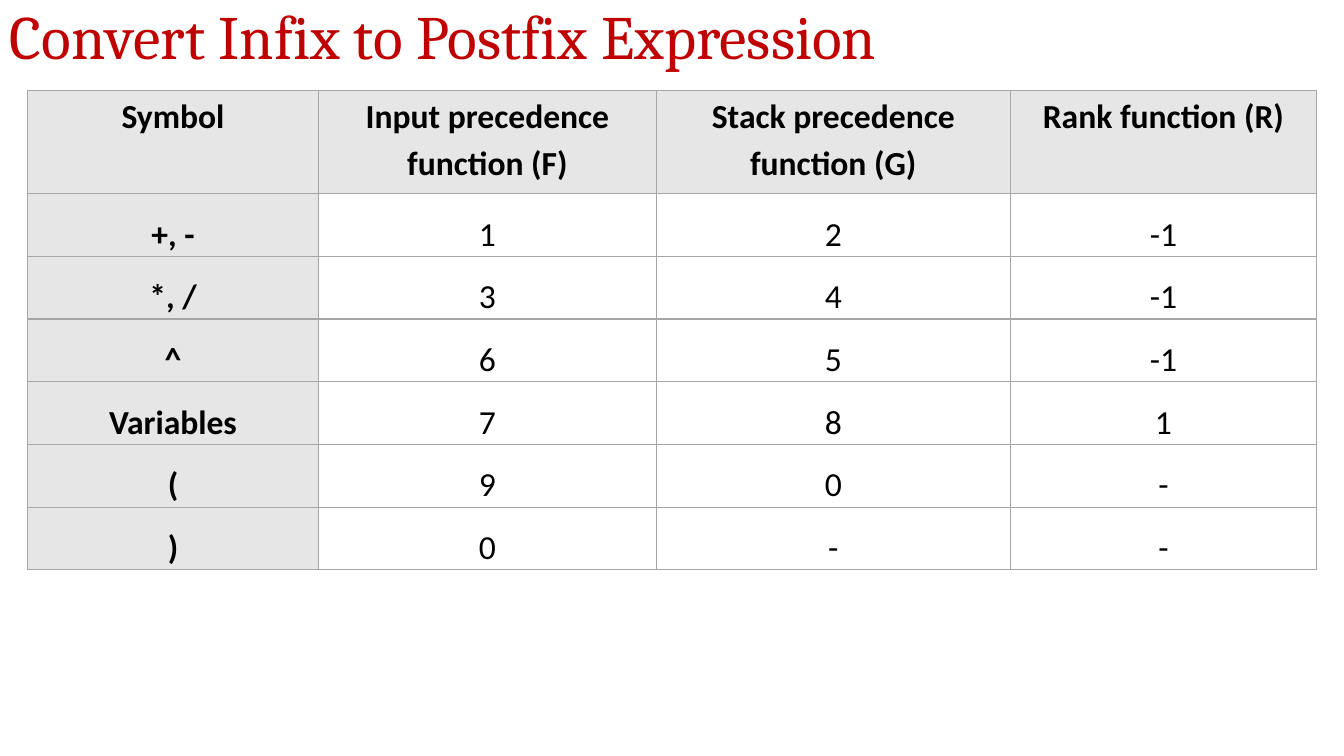
from lxml.etree import SubElement
from pptx import Presentation
from pptx.dml.color import RGBColor
from pptx.enum.text import MSO_ANCHOR, PP_ALIGN
from pptx.oxml.ns import qn
from pptx.util import Cm, Pt

COLORS = {
    "title": "C00000",
    "text": "000000",
    "border": "A6A6A6",
    "heading": "E6E6E6",
    "body": "FFFFFF",
}
COLUMN_WIDTHS = [7.34, 8.51, 8.92, 7.72]
HEADER_HEIGHT = 2.59
ROW_HEIGHT = 1.58
PRECEDENCE = [
    ["Symbol", "Input precedence\vfunction (F)", "Stack precedence\vfunction (G)", "Rank function (R)"],
    ["+, -", "1", "2", "-1"],
    ["*, /", "3", "4", "-1"],
    ["^", "6", "5", "-1"],
    ["Variables", "7", "8", "1"],
    ["(", "9", "0", "-"],
    [")", "0", "-", "-"],
]


class SlideBuilder:
    """Draws styled elements on the current slide."""

    def __init__(self, page):
        self.page = page
        self.title_font = "Cambria"
        self.table_font = "Calibri"

    def style(self, paragraph, name, size, color, bold=False):
        paragraph.font.name = name
        paragraph.font.size = Pt(size)
        paragraph.font.bold = bold
        paragraph.font.color.rgb = RGBColor.from_string(COLORS[color])

    def title(self, text, left, top, width, height):
        box = self.page.shapes.add_textbox(Cm(left), Cm(top), Cm(width), Cm(height))
        frame = box.text_frame
        frame.word_wrap = True
        frame.vertical_anchor = MSO_ANCHOR.MIDDLE
        frame.text = text
        paragraph = frame.paragraphs[0]
        paragraph.line_spacing = 0.9
        self.style(paragraph, self.title_font, 44, "title")

    def border(self, cell):
        properties = cell._tc.get_or_add_tcPr()
        for side in ("a:lnL", "a:lnR", "a:lnT", "a:lnB"):
            line = SubElement(properties, qn(side), w=str(Pt(1)))
            fill = SubElement(line, qn("a:solidFill"))
            SubElement(fill, qn("a:srgbClr"), val=COLORS["border"])

    def cell(self, cell, text, is_header, is_heading):
        self.border(cell)
        cell.fill.solid()
        color = COLORS["heading" if is_heading else "body"]
        cell.fill.fore_color.rgb = RGBColor.from_string(color)
        cell.margin_left = cell.margin_right = Cm(0.36)
        cell.margin_top = cell.margin_bottom = Cm(0)
        cell.text_frame.text = text
        paragraph = cell.text_frame.paragraphs[0]
        paragraph.alignment = PP_ALIGN.CENTER
        paragraph.line_spacing = 1.14 if is_header else 1.5
        self.style(paragraph, self.table_font, 24, "text", bold=is_heading)

    def table(self, rows, left, top, widths, heights):
        frame = self.page.shapes.add_table(
            len(rows), len(widths), Cm(left), Cm(top), Cm(sum(widths)), Cm(sum(heights))
        )
        table = frame.table
        for column, width in zip(table.columns, widths):
            column.width = Cm(width)
        for row, height in zip(table.rows, heights):
            row.height = Cm(height)
        for i, values in enumerate(rows):
            for j, text in enumerate(values):
                self.cell(table.cell(i, j), text, i == 0, i == 0 or j == 0)


def main():
    deck = Presentation()
    deck.slide_width = Cm(33.87)
    deck.slide_height = Cm(19.05)
    builder = SlideBuilder(deck.slides.add_slide(deck.slide_layouts[6]))
    builder.title("Convert Infix to Postfix Expression", 0, 0, 33.87, 1.98)
    heights = [HEADER_HEIGHT] + [ROW_HEIGHT] * (len(PRECEDENCE) - 1)
    builder.table(PRECEDENCE, 0.69, 2.29, COLUMN_WIDTHS, heights)
    deck.save("out.pptx")


if __name__ == "__main__":
    main()
